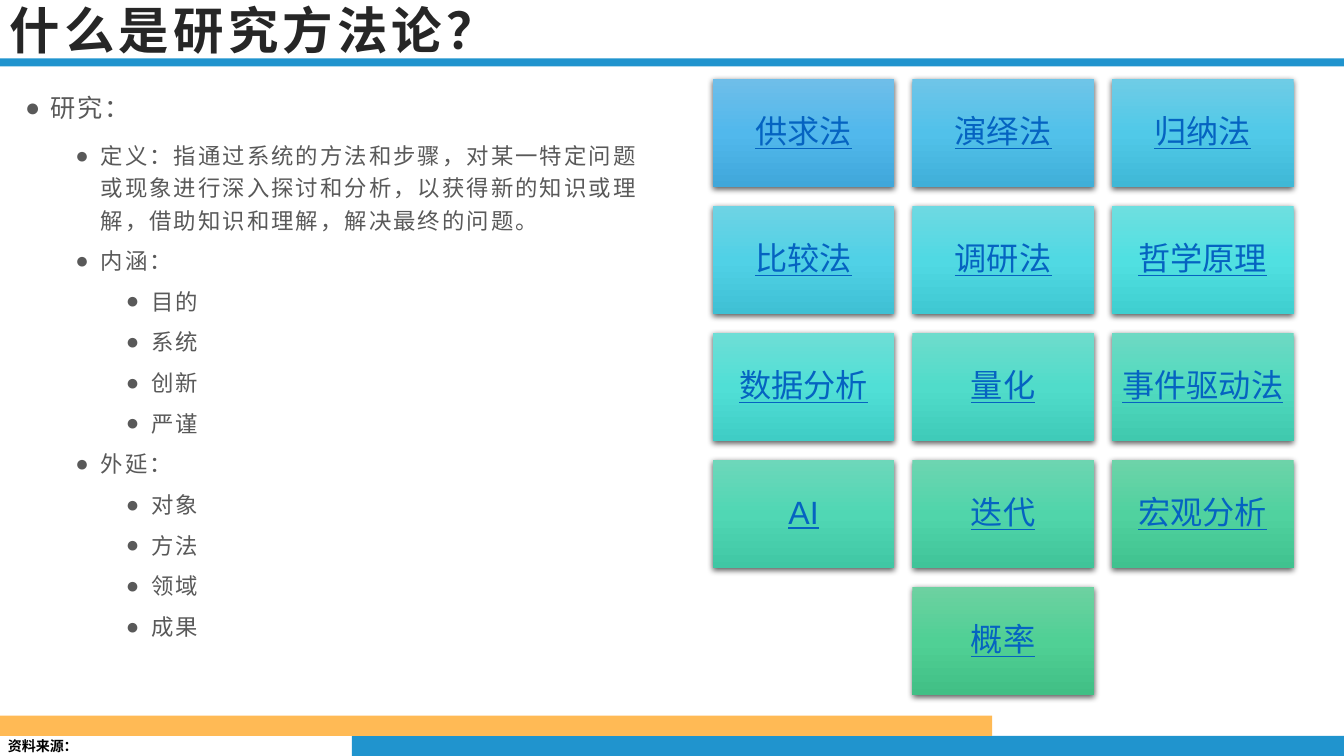
"""Build the slide on research methodology."""
from copy import deepcopy

from lxml.etree import SubElement
from pptx import Presentation
from pptx.dml.color import RGBColor
from pptx.enum.lang import MSO_LANGUAGE_ID
from pptx.enum.shapes import MSO_SHAPE
from pptx.enum.text import MSO_ANCHOR, PP_ALIGN
from pptx.oxml.ns import qn
from pptx.util import Inches, Pt

COLORS = {
    "blue": "2094CE", "orange": "FFBA55", "title": "262626",
    "body": "595959", "link": "0563C1", "black": "000000",
}
CJK_FONT = "Noto Sans CJK SC"

BARS = [
    (3.49, 7.3, 9.84, 0.2, "blue"),
    (0, 7.1, 9.84, 0.2, "orange"),
    (0, 0.58, 13.33, 0.08, "blue"),
]

OUTLINE = [
    (0, "研究："),
    (1, "定义：指通过系统的方法和步骤，对某一特定问题或现象进行深入探讨和分析，"
        "以获得新的知识或理解，借助知识和理解，解决最终的问题。"),
    (1, "内涵："),
    (2, "目的"),
    (2, "系统"),
    (2, "创新"),
    (2, "严谨"),
    (1, "外延："),
    (2, "对象"),
    (2, "方法"),
    (2, "领域"),
    (2, "成果"),
]

METHODS = [
    ("供求法", "6FBEE9", "51B8EC", "40A7DA"),
    ("演绎法", "6FC5E8", "51C1EA", "40AFD8"),
    ("归纳法", "6FCCE6", "50C9E8", "3FB8D6"),
    ("比较法", "6ED3E4", "50D1E6", "3FC0D4"),
    ("调研法", "6ED9E2", "50D9E3", "3FC8D2"),
    ("哲学原理", "6EDFE0", "50E0E1", "3FCFD0"),
    ("数据分析", "6EDED6", "50DFD6", "3FCDC5"),
    ("量化", "6EDCCC", "50DCCA", "3FCBB9"),
    ("事件驱动法", "6ED9C3", "50DABF", "40C9AE"),
    ("AI", "6DD7BA", "50D7B4", "40C7A4"),
    ("迭代", "6DD5B1", "50D5AA", "40C499"),
    ("宏观分析", "6DD3A9", "50D29F", "40C28F"),
    ("概率", "6DD1A1", "50D095", "41BF85"),
]
COLUMNS = 3
GRID_LEFT, GRID_TOP = 7.07, 0.78
TILE_W, TILE_H, GAP = 1.8, 1.08, 0.18


def add_text(p, text, size, color, font="Arial", bold=False, underline=False, spacing=0):
    """Add a formatted run to a paragraph."""
    r = p.add_run()
    r.text = text
    r.font.size = Pt(size)
    r.font.name = font
    r.font.bold = bold
    r.font.underline = underline
    r.font.color.rgb = RGBColor.from_string(COLORS[color])
    r.font.language_id = MSO_LANGUAGE_ID.SIMPLIFIED_CHINESE
    rpr = r.font._element
    rpr.set("spc", str(int(spacing * 100)))
    SubElement(rpr, qn("a:ea"), typeface=CJK_FONT)


def add_rect(s, left, top, width, height):
    """Add a rectangle without line or shadow."""
    sp = s.shapes.add_shape(MSO_SHAPE.RECTANGLE, Inches(left), Inches(top),
                            Inches(width), Inches(height))
    sp.shadow.inherit = False
    sp.line.fill.background()
    return sp


def add_bar(s, left, top, width, height, color):
    """Add a solid decorative bar."""
    sp = add_rect(s, left, top, width, height)
    sp.fill.solid()
    sp.fill.fore_color.rgb = RGBColor.from_string(COLORS[color])


def add_box(s, left, top, width, height, wrap=True, anchor=MSO_ANCHOR.TOP):
    """Add a text box and return its text frame."""
    tf = s.shapes.add_textbox(Inches(left), Inches(top),
                              Inches(width), Inches(height)).text_frame
    tf.word_wrap = wrap
    tf.vertical_anchor = anchor
    return tf


def set_bullet(p, level):
    """Give a paragraph its level, hanging indent and round bullet."""
    p.level = level
    ppr = p._p.get_or_add_pPr()
    ppr.set("marL", str(Inches(0.25 + 0.5 * level)))
    ppr.set("indent", str(Inches(-0.25)))
    SubElement(ppr, qn("a:buFont"), typeface="Arial")
    SubElement(ppr, qn("a:buChar"), char="●")


def add_outline(s):
    """Add the bulleted outline."""
    tf = add_box(s, 0.15, 0.78, 6.47, 6.13)
    for i, (level, text) in enumerate(OUTLINE):
        p = tf.add_paragraph() if i else tf.paragraphs[0]
        set_bullet(p, level)
        p.line_spacing = 1.2 if level else 1.3
        p.space_before = Pt(0)
        p.space_after = Pt(6 if level else 10)
        add_text(p, text, 16 if level else 18, "body", spacing=1.5)


def set_gradient(sp, colors):
    """Fill a shape from top to bottom with evenly spaced colours."""
    sp.fill.gradient()
    sp.fill.gradient_angle = 270
    stop_list = sp._element.spPr.find(".//" + qn("a:gsLst"))
    stop_list.append(deepcopy(stop_list[-1]))
    for i, (stop, color) in enumerate(zip(sp.fill.gradient_stops, colors)):
        stop.position = i / (len(colors) - 1)
        stop.color.rgb = RGBColor.from_string(color)


def set_shadow(sp):
    """Add a soft shadow below a shape."""
    effects = sp._element.spPr.find(qn("a:effectLst"))
    shadow = SubElement(effects, qn("a:outerShdw"), blurRad=str(Pt(4.5)),
                        dist=str(Pt(1.5)), dir="5400000", algn="ctr", rotWithShape="0")
    color = SubElement(shadow, qn("a:srgbClr"), val=COLORS["black"])
    SubElement(color, qn("a:alpha"), val="63000")


def add_tile(s, left, top, text, colors):
    """Add one method tile."""
    sp = add_rect(s, left, top, TILE_W, TILE_H)
    set_gradient(sp, colors)
    set_shadow(sp)
    tf = sp.text_frame
    tf.word_wrap = True
    tf.vertical_anchor = MSO_ANCHOR.MIDDLE
    tf.margin_left = tf.margin_right = tf.margin_top = tf.margin_bottom = Inches(0.1)
    p = tf.paragraphs[0]
    p.alignment = PP_ALIGN.CENTER
    p.line_spacing = 0.9
    add_text(p, text, 23, "link", underline=True)


def add_method_grid(s):
    """Lay out the tiles in rows, centring an incomplete row."""
    for i, (text, *colors) in enumerate(METHODS):
        row, column = divmod(i, COLUMNS)
        row_size = min(COLUMNS, len(METHODS) - row * COLUMNS)
        column += (COLUMNS - row_size) / 2
        add_tile(s, GRID_LEFT + column * (TILE_W + GAP),
                 GRID_TOP + row * (TILE_H + GAP), text, colors)


def main():
    """Build and save the slide."""
    prs = Presentation()
    prs.slide_width, prs.slide_height = Inches(13.33), Inches(7.5)
    s = prs.slides.add_slide(prs.slide_layouts[6])
    for bar in BARS:
        add_bar(s, *bar)
    source = add_box(s, -0.02, 7.27, 0.79, 0.27, wrap=False)
    add_text(source.paragraphs[0], "资料来源：", 10, "black", font=CJK_FONT, bold=True)
    title = add_box(s, 0, 0, 11.44, 0.58, anchor=MSO_ANCHOR.MIDDLE)
    add_text(title.paragraphs[0], "什么是研究方法论？", 36, "title",
             font=CJK_FONT, bold=True, spacing=3)
    add_outline(s)
    add_method_grid(s)
    prs.save("out.pptx")


if __name__ == "__main__":
    main()
